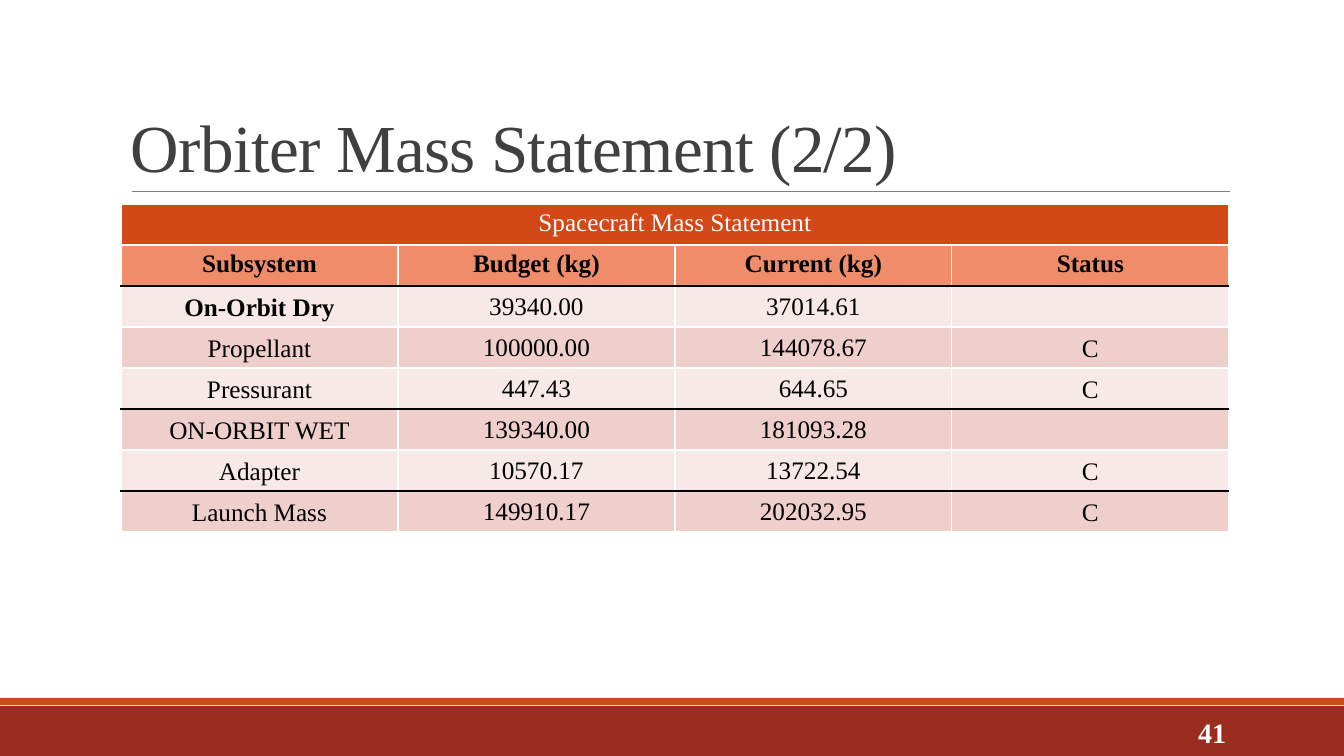
import pptx
import pptx.util
import pptx.dml.color
import pptx.enum.shapes
import pptx.enum.text
from lxml import etree

# Content
TITLE = "Orbiter Mass Statement (2/2)"
PAGE = "41"
CAPTION = "Spacecraft Mass Statement"
HEADINGS = ("Subsystem", "Budget (kg)", "Current (kg)", "Status")
MASSES = [
    ("On-Orbit Dry", "39340.00", "37014.61", ""),
    ("Propellant", "100000.00", "144078.67", "C"),
    ("Pressurant", "447.43", "644.65", "C"),
    ("ON-ORBIT WET", "139340.00", "181093.28", ""),
    ("Adapter", "10570.17", "13722.54", "C"),
    ("Launch Mass", "149910.17", "202032.95", "C"),
]
RULED_ROWS = (1, 4, 6)  # rows with a black line below
COLORS = {
    "band": "9B2D1F", "accent": "D34817", "heading": "EF8C6A",
    "light": "F7E9E8", "dark": "EFCFCC", "title": "404040",
    "rule": "808080", "white": "FFFFFF", "black": "000000",
}
FONT = "Times New Roman"
W, H = 1344, 756
TABLE_X, TABLE_Y, COL_W, ROW_H = 121, 204, 277, 41

ALIGN = pptx.enum.text.PP_ALIGN
ANCHOR = pptx.enum.text.MSO_ANCHOR


def px(n):
    return pptx.util.Emu(round(n * 914400 / 100.8))


def rgb(name):
    return pptx.dml.color.RGBColor.from_string(COLORS[name])


def style(p, size, color, bold=False, align=ALIGN.LEFT):
    p.alignment = align
    p.font.name = FONT
    p.font.size = pptx.util.Pt(size)
    p.font.bold = bold
    p.font.color.rgb = rgb(color)


def bar(y, h, color):
    sp = s.shapes.add_shape(pptx.enum.shapes.MSO_SHAPE.RECTANGLE,
                            px(0), px(y), px(W), px(h))
    sp.shadow.inherit = False
    sp.fill.solid()
    sp.fill.fore_color.rgb = rgb(color)
    sp.line.fill.background()


def text_box(x, y, w, h, text, anchor):
    tf = s.shapes.add_textbox(px(x), px(y), px(w), px(h)).text_frame
    tf.word_wrap = True
    tf.vertical_anchor = anchor
    p = tf.paragraphs[0]
    p.add_run().text = text
    return p


def borders(cell, **sides):
    tcPr = cell._tc.get_or_add_tcPr()
    ns = "{http://schemas.openxmlformats.org/drawingml/2006/main}"
    for i, side in enumerate("LRTB"):
        ln = etree.Element(f"{ns}ln{side}", w="12700")
        fill = etree.SubElement(ln, f"{ns}solidFill")
        etree.SubElement(fill, f"{ns}srgbClr", val=COLORS[sides.get(side, "white")])
        tcPr.insert(i, ln)


prs = pptx.Presentation()
prs.slide_width, prs.slide_height = px(W), px(H)
s = prs.slides.add_slide(prs.slide_layouts[6])

# Footer bands and title rule
bar(706, 50, "band")
bar(698, 7, "accent")
rule = s.shapes.add_connector(pptx.enum.shapes.MSO_CONNECTOR.STRAIGHT,
                              px(132), px(191), px(1230), px(191))
rule.line.color.rgb = rgb("rule")
rule.line.width = pptx.util.Pt(0.5)
etree.SubElement(rule._element.spPr,
                 "{http://schemas.openxmlformats.org/drawingml/2006/main}effectLst")

# Title and page number
p = text_box(121, 31, 1109, 160, TITLE, ANCHOR.BOTTOM)
style(p, 48, "title")
p.line_spacing = 0.85
p.runs[0]._r.get_or_add_rPr().set("spc", "-50")
p = text_box(1092, 712, 144, 40, PAGE, ANCHOR.MIDDLE)
style(p, 20, "white", True, ALIGN.RIGHT)

# Mass table
rows = [(CAPTION, "", "", ""), HEADINGS] + MASSES
n_rows, n_cols = len(rows), len(HEADINGS)
table = s.shapes.add_table(n_rows, n_cols, px(TABLE_X), px(TABLE_Y),
                           px(n_cols * COL_W), px(n_rows * ROW_H)).table
for col in table.columns:
    col.width = px(COL_W)
for r, values in enumerate(rows):
    table.rows[r].height = px(ROW_H)
    for c, value in enumerate(values):
        cell = table.cell(r, c)
        cell.text = value
        style(cell.text_frame.paragraphs[0], 18, "white" if r == 0 else "black",
              r == 1 or (r, c) == (2, 0), ALIGN.CENTER)
        cell.fill.solid()
        cell.fill.fore_color.rgb = rgb(
            ("accent", "heading")[r] if r < 2 else ("light", "dark")[r % 2])
        if r > 1 and value:
            number = c in (1, 2)
            cell.vertical_anchor = ANCHOR.MIDDLE if number else ANCHOR.BOTTOM
            cell.margin_left = cell.margin_right = cell.margin_top = px(1)
            cell.margin_bottom = px(0 if number else 5)
        borders(cell, T="black" if r - 1 in RULED_ROWS else "white",
                B="black" if r in RULED_ROWS else "white")
table.cell(0, 0).merge(table.cell(0, n_cols - 1))

prs.save("out.pptx")
